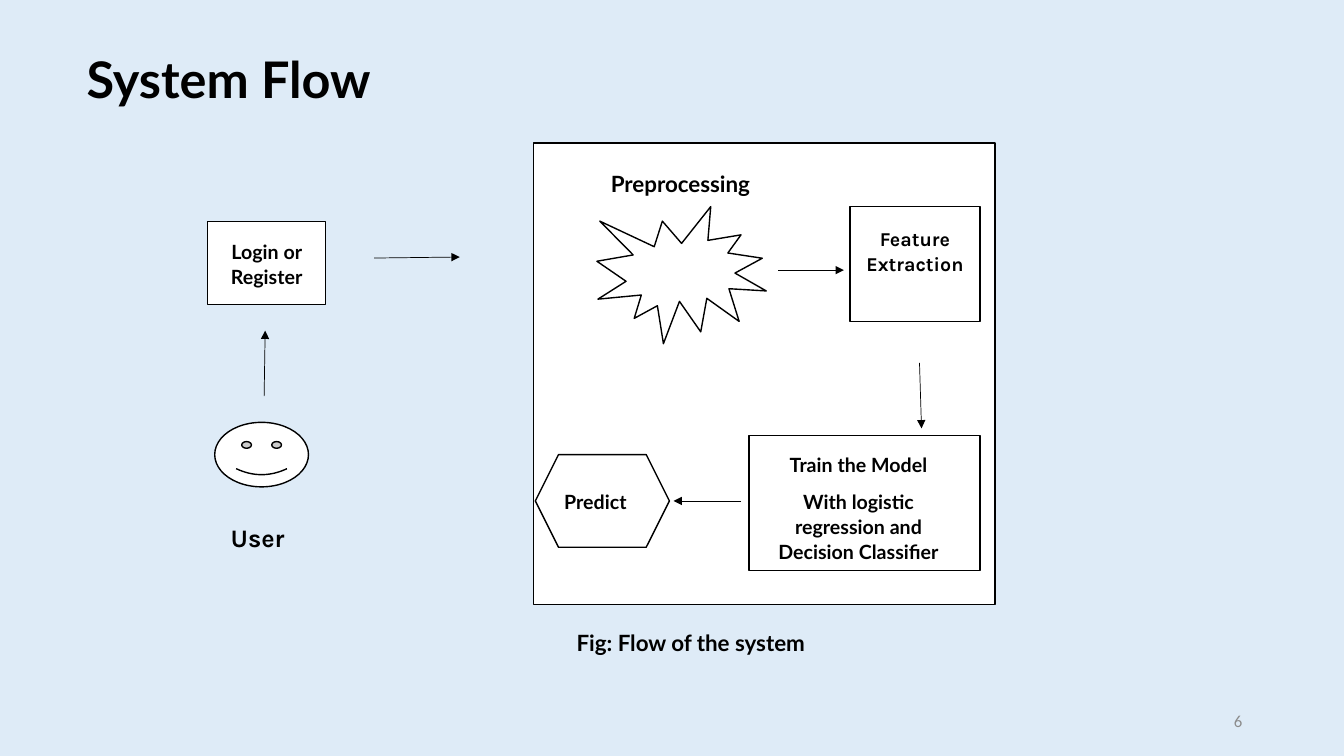
import pptx
import pptx.util
import pptx.oxml
import pptx.oxml.ns
import pptx.dml.color
import pptx.enum.shapes
import pptx.enum.text
from pptx.util import Inches

BACKGROUND = pptx.dml.color.RGBColor(0xDE, 0xEB, 0xF7)
WHITE = pptx.dml.color.RGBColor(0xFF, 0xFF, 0xFF)
BLACK = pptx.dml.color.RGBColor(0x00, 0x00, 0x00)
GRAY = pptx.dml.color.RGBColor(0x8C, 0x8C, 0x8C)
MSO = pptx.enum.shapes.MSO_SHAPE
LEFT = pptx.enum.text.PP_ALIGN.LEFT
CENTER = pptx.enum.text.PP_ALIGN.CENTER
RIGHT = pptx.enum.text.PP_ALIGN.RIGHT
TOP = pptx.enum.text.MSO_ANCHOR.TOP
MIDDLE = pptx.enum.text.MSO_ANCHOR.MIDDLE

prs = pptx.Presentation()
prs.slide_width, prs.slide_height = Inches(13.33), Inches(7.5)
s = prs.slides.add_slide(prs.slide_layouts[6])
s.background.fill.solid()
s.background.fill.fore_color.rgb = BACKGROUND


def write(sp, lines, size, font="Lato", color=BLACK, bold=True, align=LEFT,
          anchor=TOP, spacing=1.0, after=0, wrap=True):
    tf = sp.text_frame
    tf.word_wrap = wrap
    tf.vertical_anchor = anchor
    tf.text = "\n".join(lines)
    for p in tf.paragraphs:
        p.alignment = align
        p.line_spacing = spacing
        p.space_after = pptx.util.Pt(after)
        p.font.name = font
        p.font.size = pptx.util.Pt(size)
        p.font.bold = bold
        p.font.color.rgb = color


def add_node(kind, box, outlined=True):
    sp = s.shapes.add_shape(kind, *map(Inches, box))
    sp.shadow.inherit = False
    sp.fill.solid()
    sp.fill.fore_color.rgb = WHITE
    if outlined:
        sp.line.color.rgb = BLACK
        sp.line.width = pptx.util.Pt(1)
    else:
        sp.line.fill.background()
    return sp


labels = [
    ("System Flow", (0.76, 0.41, 10.69, 0.81),
     dict(size=36, anchor=MIDDLE, spacing=0.9)),
    ("6", (9.42, 6.95, 3, 0.4),
     dict(size=12, font="Calibri", color=GRAY, bold=False, align=RIGHT, anchor=MIDDLE)),
    ("Fig: Flow of the system", (5.62, 6.19, 2.7, 0.37), dict(size=16, wrap=False)),
    ("User", (2.19, 5.11, 0.77, 0.43),
     dict(size=18, font="Karla", spacing=1.07, after=8, wrap=False)),
]
preprocessing = ("Preprocessing", (5.96, 1.64, 1.76, 0.37), dict(size=16, wrap=False))

add_node(MSO.SMILEY_FACE, (2.13, 4.19, 0.93, 0.64))
login = add_node(MSO.FLOWCHART_PROCESS, (2.06, 2.2, 1.17, 0.82))
add_node(MSO.FLOWCHART_PROCESS, (5.29, 1.42, 4.58, 4.58))
add_node(MSO.EXPLOSION1, (5.92, 2.05, 1.68, 1.36))
feature = add_node(MSO.FLOWCHART_PROCESS, (8.43, 2.05, 1.29, 1.14))
predict = add_node(MSO.HEXAGON, (5.31, 4.51, 1.33, 0.92))
add_node(MSO.RECTANGLE, (7.43, 4.32, 2.29, 1.34))
train = add_node(MSO.RECTANGLE, (7.47, 4.43, 2.09, 1.22), outlined=False)

node_style = dict(size=14, spacing=1.07, after=8)
write(login, ["Login or Register"], align=CENTER, anchor=MIDDLE, **node_style)
write(feature, ["Feature Extraction"], font="Karla", align=CENTER, anchor=MIDDLE, **node_style)
feature.text_frame.margin_bottom = Inches(0.33)
write(predict, ["Predict"], anchor=MIDDLE, **node_style)
write(train, ["Train the Model", "With logistic regression and Decision Classifier"],
      align=CENTER, **node_style)

for text, box, style in labels + [preprocessing]:
    write(s.shapes.add_textbox(*map(Inches, box)), [text], **style)

arrows = [
    (2.62, 3.93, 2.63, 3.28),
    (3.71, 2.56, 4.56, 2.55),
    (7.72, 2.68, 8.37, 2.68),
    (9.12, 3.6, 9.14, 4.25),
    (7.35, 4.97, 6.68, 4.97),
]
for ends in arrows:
    arrow = s.shapes.add_connector(pptx.enum.shapes.MSO_CONNECTOR.STRAIGHT, *map(Inches, ends))
    arrow.line.color.rgb = BLACK
    arrow.line.width = pptx.util.Pt(0.5)
    tail = pptx.oxml.parse_xml(f'<a:tailEnd {pptx.oxml.ns.nsdecls("a")} type="triangle"/>')
    arrow.line._get_or_add_ln().append(tail)
    effects = pptx.oxml.parse_xml(f'<a:effectLst {pptx.oxml.ns.nsdecls("a")}/>')
    arrow._element.spPr.append(effects)

prs.save("out.pptx")
